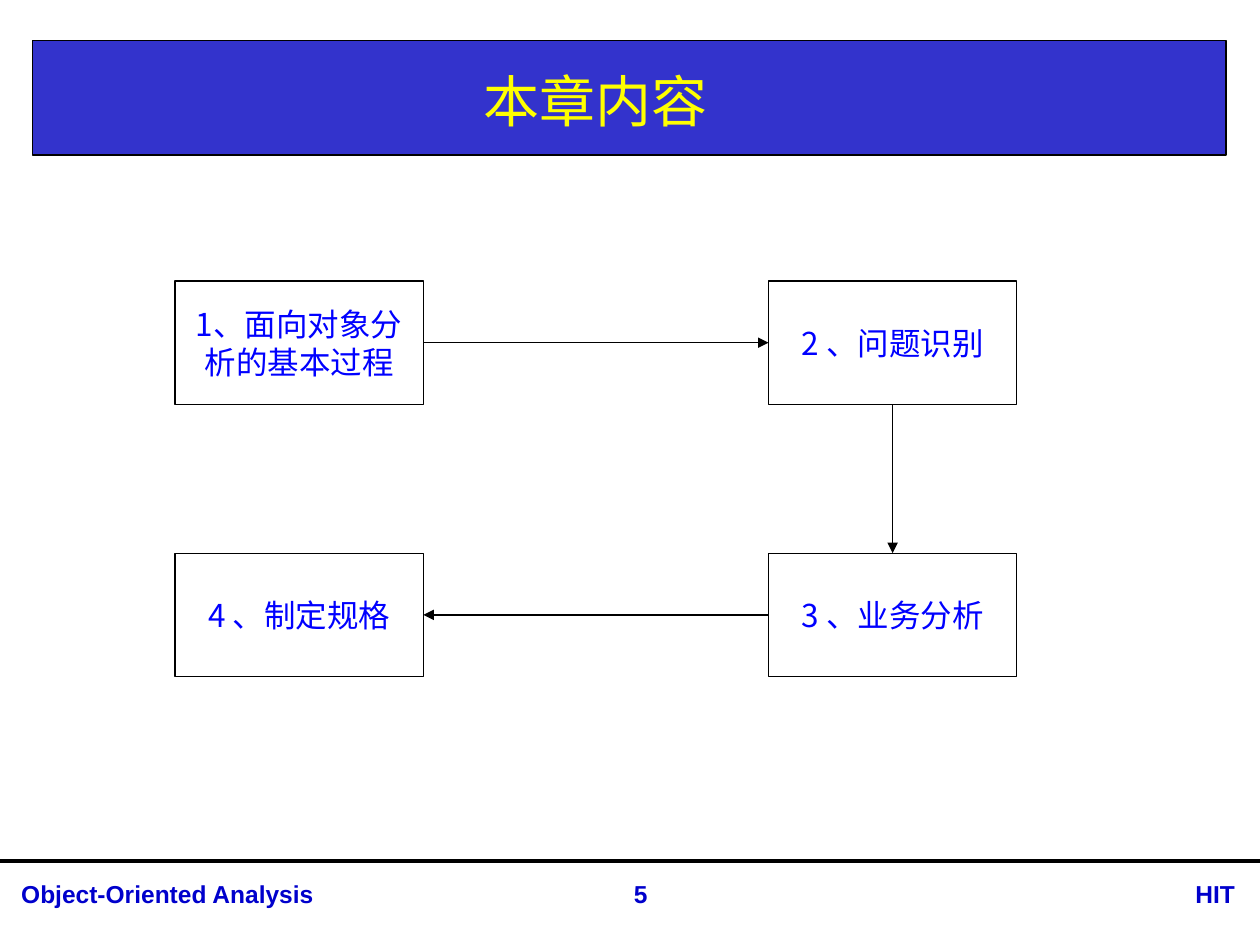
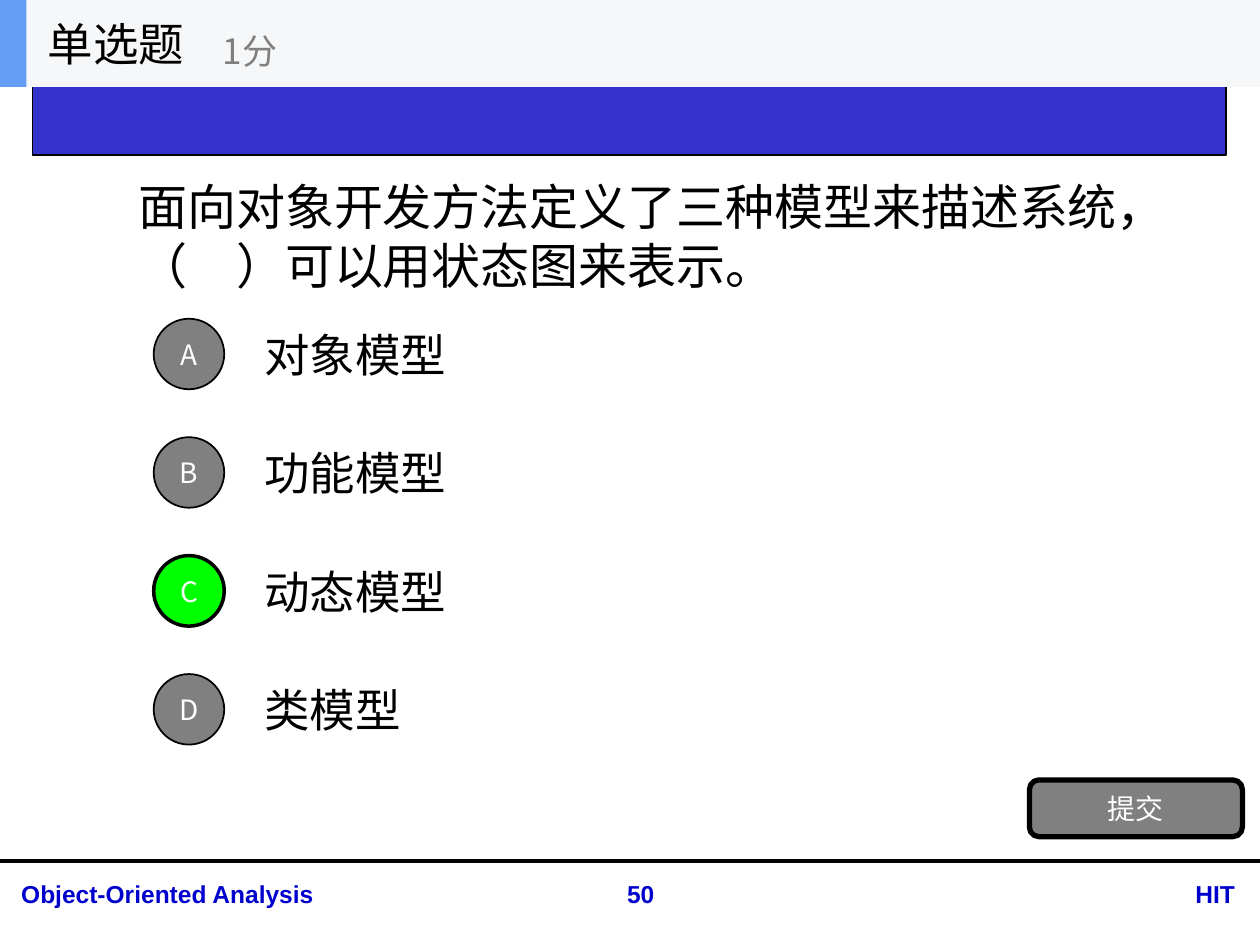
from dataclasses import dataclass

from lxml import etree
from pptx import Presentation
from pptx.dml.color import RGBColor
from pptx.enum.shapes import MSO_CONNECTOR, MSO_SHAPE
from pptx.enum.text import MSO_ANCHOR, PP_ALIGN
from pptx.oxml.ns import qn
from pptx.util import Inches, Pt

LEFT, CENTER, RIGHT = PP_ALIGN.LEFT, PP_ALIGN.CENTER, PP_ALIGN.RIGHT
MIDDLE, TOP = MSO_ANCHOR.MIDDLE, MSO_ANCHOR.TOP
RECT, OVAL, ROUNDED = MSO_SHAPE.RECTANGLE, MSO_SHAPE.OVAL, MSO_SHAPE.ROUNDED_RECTANGLE
STRAIGHT = MSO_CONNECTOR.STRAIGHT
SITES = {"top": 0, "left": 1, "bottom": 2, "right": 3}


@dataclass(frozen=True)
class Theme:
    body_font: str = "Noto Sans CJK SC"
    footer_font: str = "Arial"
    black: str = "000000"
    white: str = "FFFFFF"
    band: str = "3333CC"
    title: str = "FFFF00"
    footer: str = "0000CC"
    step: str = "0000FF"
    grey: str = "808080"
    correct: str = "00FF00"
    header: str = "F6F7F8"
    accent: str = "639EF4"
    title_size: float = 32
    question_size: float = 28
    option_size: float = 26
    points_size: float = 20
    step_size: float = 18
    button_size: float = 16
    footer_size: float = 14


THEME = Theme()

# Content
COURSE, SCHOOL = "Object-Oriented Analysis", "HIT"
OVERVIEW = {
    "number": 5,
    "title": "本章内容",
    # label, column, row, in reading order
    "steps": [
        ("1、面向对象分析的基本过程", 0, 0),
        ("2 、问题识别", 1, 0),
        ("3 、业务分析", 1, 1),
        ("4 、制定规格", 0, 1),
    ],
    # side each arrow leaves from and side it reaches
    "arrows": [("right", "left"), ("bottom", "top"), ("left", "right")],
}
QUIZ = {
    "number": 50,
    "kind": "单选题",
    "points": "1分",
    "question": "面向对象开发方法定义了三种模型来描述系统，（　）可以用状态图来表示。",
    "options": {"A": "对象模型", "B": "功能模型", "C": "动态模型", "D": "类模型"},
    "answer": "C",
    "submit": "提交",
}


# Drawing helpers
def rgb(code):
    return RGBColor.from_string(code)


def write(shape, text, *, size, color=THEME.black, font=THEME.body_font,
          bold=False, align=LEFT, anchor=MIDDLE):
    frame = shape.text_frame
    frame.word_wrap = True
    frame.vertical_anchor = anchor
    paragraph = frame.paragraphs[0]
    paragraph.alignment = align
    run = paragraph.add_run()
    run.text = text
    run.font.size, run.font.bold, run.font.name = Pt(size), bold, font
    run.font.color.rgb = rgb(color)
    east_asian = etree.SubElement(run.font._element, qn("a:ea"))
    east_asian.set("typeface", font)


def add_label(slide, box, text, **text_format):
    write(slide.shapes.add_textbox(*map(Inches, box)), text, **text_format)


def add_block(slide, kind, box, fill, line_width=0):
    block = slide.shapes.add_shape(kind, *map(Inches, box))
    block.shadow.inherit = False
    block.fill.solid()
    block.fill.fore_color.rgb = rgb(fill)
    if line_width:
        block.line.color.rgb = rgb(THEME.black)
        block.line.width = Pt(line_width)
    else:
        block.line.fill.background()
    return block


def add_line(slide, start, end, width, arrow=False):
    line = slide.shapes.add_connector(STRAIGHT, *map(Inches, (*start, *end)))
    line.line.color.rgb = rgb(THEME.black)
    line.line.width = Pt(width)
    if arrow:
        etree.SubElement(line.line._get_or_add_ln(), qn("a:tailEnd")).set("type", "triangle")
    etree.SubElement(line._element.spPr, qn("a:effectLst"))
    return line


def add_base_slide(deck, number):
    """Blank slide with the title band, rule and footer."""
    slide = deck.slides.add_slide(deck.slide_layouts[6])
    add_block(slide, RECT, (0.26, 0.32, 9.47, 0.91), THEME.band, 0.75)
    add_line(slide, (0, 6.83), (10, 6.83), 2.25)
    footers = [(0.07, 4.63, COURSE, LEFT), (8.87, 1.03, SCHOOL, RIGHT),
               (4.57, 1.03, str(number), CENTER)]
    for left, width, text, align in footers:
        add_label(slide, (left, 6.93, width, 0.34), text, size=THEME.footer_size,
                  color=THEME.footer, font=THEME.footer_font, bold=True,
                  align=align, anchor=TOP)
    return slide


# Chapter overview: four steps in a loop
def build_overview(deck):
    slide = add_base_slide(deck, OVERVIEW["number"])
    add_label(slide, (0, 0.36, 9.45, 0.87), OVERVIEW["title"],
              size=THEME.title_size, color=THEME.title, align=CENTER)

    boxes = []
    for label, column, row in OVERVIEW["steps"]:
        place = (1.39 + 4.71 * column, 2.23 + 2.16 * row, 1.97, 0.98)
        box = add_block(slide, RECT, place, THEME.white, 0.75)
        write(box, label, size=THEME.step_size, color=THEME.step, align=CENTER)
        boxes.append(box)

    for source, target, (leave, reach) in zip(boxes, boxes[1:], OVERVIEW["arrows"]):
        arrow = add_line(slide, (0, 0), (1, 1), 0.75, arrow=True)
        arrow.begin_connect(source, SITES[leave])
        arrow.end_connect(target, SITES[reach])


# Single-choice question
def build_quiz(deck):
    slide = add_base_slide(deck, QUIZ["number"])
    add_label(slide, (1, 0.7, 8, 2.34), QUIZ["question"], size=THEME.question_size)

    white_centred = {"size": THEME.button_size, "color": THEME.white, "align": CENTER}
    for index, (letter, option) in enumerate(QUIZ["options"].items()):
        top = 2.46 + 0.94 * index
        is_answer = letter == QUIZ["answer"]
        add_label(slide, (2, top, 7, 0.7), option, size=THEME.option_size)
        badge = add_block(slide, OVAL, (1.22, top + 0.07, 0.56, 0.56),
                          THEME.correct if is_answer else THEME.grey,
                          2 if is_answer else 1)
        write(badge, letter, **white_centred)

    submit = add_block(slide, ROUNDED, (8.17, 6.19, 1.69, 0.45), THEME.grey, 3)
    write(submit, QUIZ["submit"], **white_centred)

    # Header strip over the title band
    add_block(slide, RECT, (0, 0, 10, 0.69), THEME.header)
    add_block(slide, RECT, (0, 0, 0.21, 0.69), THEME.accent)
    add_label(slide, (0.28, 0, 2.08, 0.69), QUIZ["kind"], size=THEME.option_size)
    add_label(slide, (1.67, 0.12, 2.5, 0.56), QUIZ["points"],
              size=THEME.points_size, color=THEME.grey)


def main():
    deck = Presentation()
    deck.slide_width, deck.slide_height = Inches(10), Inches(7.5)
    build_overview(deck)
    build_quiz(deck)
    deck.save("out.pptx")


if __name__ == "__main__":
    main()
